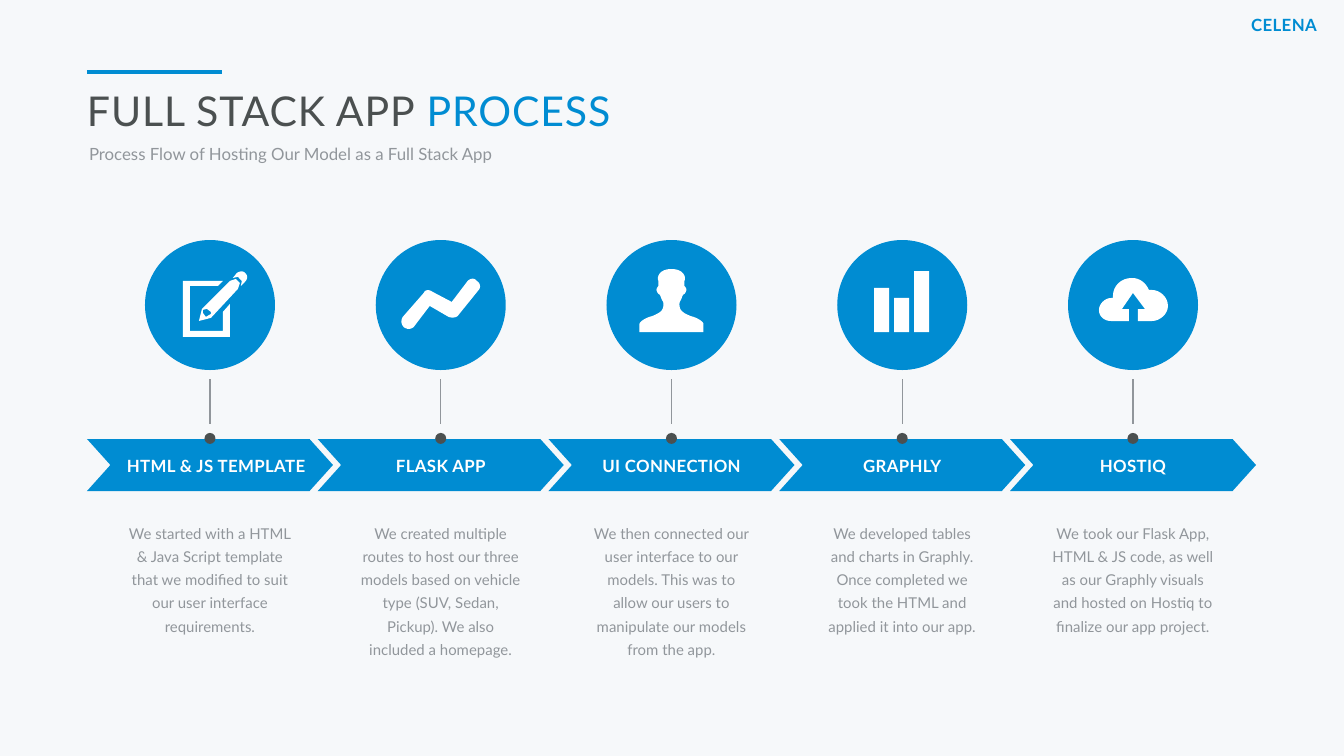
import lxml.etree
import pptx
import pptx.dml.color
import pptx.enum.shapes
import pptx.enum.text
import pptx.oxml.ns
import pptx.util

RGB = pptx.dml.color.RGBColor
SHAPE = pptx.enum.shapes.MSO_SHAPE
ALIGN = pptx.enum.text.PP_ALIGN
Pt = pptx.util.Pt
qn = pptx.oxml.ns.qn

BLUE = RGB(0x00, 0x8C, 0xD2)
DARK = RGB(0x4B, 0x50, 0x50)
GREY = RGB(0x91, 0x96, 0x9B)
PALE = RGB(0xF6, 0xF8, 0xFA)
WHITE = RGB(0xFF, 0xFF, 0xFF)
FONT = "Lato"

TITLE = [("FULL STACK APP ", DARK), ("PROCESS", BLUE)]
SUBTITLE = "Process Flow of Hosting Our Model as a Full Stack App"
TAG = "CELENA"

# Icons are lists of contours in px from the circle's centre.
# Two numbers are a corner; six are a Bezier curve (two controls and an end).
PENCIL = [
    [(-20, 26), (13, 26), (13, 7), (20, -1), (20, 32), (-27, 32), (-27, -24),
     (13, -24), (8, -19), (-20, -19)],
    [(26, -26), (30, -22), (28, -16), (1, 13), (-11, 16), (-8, 4), (20, -24)],
    [(-3, 4), (-7, 5), (-7, 8), (-4, 12), (1, 9), (1, 7)],
    [(35, -23), (31, -19), (32, -24), (28, -28), (23, -27), (27, -32),
     (30, -34, 34, -34, 35, -32), (38, -30, 38, -26, 35, -23)],
]
TREND = [
    [(-36, 23), (-40, 20, -40, 15, -38, 12), (-17, -12),
     (-16, -15, -12, -16, -8, -13), (11, -3), (27, -24),
     (30, -27, 34, -27, 36, -24), (40, -22, 40, -17, 38, -15), (17, 11),
     (15, 13, 11, 13, 8, 12), (-11, 1), (-27, 22),
     (-28, 23, -30, 24, -32, 24), (-34, 24, -35, 23, -36, 23)],
]
PERSON = [
    [(32, 19), (32, 27), (-32, 27), (-32, 19), (-32, 17, -27, 13, -19, 11),
     (-9, 7, -8, 4, -8, -1), (-8, -4, -9, -3, -11, -9),
     (-12, -12, -13, -9, -15, -15), (-15, -17, -13, -19, -13, -19),
     (-13, -19, -13, -22, -13, -24), (-15, -28, -12, -36, 0, -36),
     (12, -36, 15, -28, 13, -24), (13, -22, 13, -19, 13, -19),
     (13, -19, 15, -17, 15, -15), (13, -9, 12, -12, 11, -9),
     (9, -3, 8, -4, 8, -1), (8, 4, 9, 7, 19, 11), (27, 13, 32, 17, 32, 19)],
]
BARS = [
    [(left, 27), (left, top), (left + 15, top), (left + 15, 27)]
    for left, top in [(-28, -17), (-8, -7), (12, -34)]
]
CLOUD = [
    [(35, 1), (35, 9, 27, 16, 19, 16), (5, 16), (5, 4), (12, 4), (0, -12),
     (-11, 4), (-4, 4), (-4, 16), (-22, 16), (-28, 16, -34, 12, -34, 5),
     (-34, -1, -28, -7, -22, -7), (-20, -7), (-20, -9),
     (-20, -19, -12, -27, -1, -27), (7, -27, 13, -22, 16, -15), (19, -15),
     (27, -15, 35, -8, 35, 1)],
]

# icon, label, label width, label shift, description
STEPS = [
    (PENCIL, "HTML & JS TEMPLATE", 190, 6,
     "We started with a HTML & Java Script template that we modified to suit "
     "our user interface requirements."),
    (TREND, "FLASK APP", 163, 0,
     "We created multiple routes to host our three models based on vehicle "
     "type (SUV, Sedan, Pickup). We also included a homepage."),
    (PERSON, "UI CONNECTION", 163, 0,
     "We then connected our user interface to our models. This was to allow "
     "our users to manipulate our models from the app."),
    (BARS, "GRAPHLY", 163, 0,
     "We developed tables and charts in Graphly. Once completed we took the "
     "HTML and applied it into our app."),
    (CLOUD, "HOSTIQ", 163, 0,
     "We took our Flask App, HTML & JS code, as well as our Graphly visuals "
     "and hosted on Hostiq to finalize our app project."),
]
FIRST_CENTRE, LAST_CENTRE = 210, 1133
PITCH = (LAST_CENTRE - FIRST_CENTRE) / (len(STEPS) - 1)
CIRCLE_Y, CIRCLE_SIZE = 305, 130
CHEVRON_TOP, CHEVRON_WIDTH, CHEVRON_HEIGHT = 439, 246, 52


def px(length):
    return round(length * 914400 / 134.4)


def paint(shape, color):
    shape.shadow.inherit = False
    shape.fill.solid()
    shape.fill.fore_color.rgb = color
    shape.line.fill.background()


def add_filled(slide, kind, left, top, width, height, color):
    shape = slide.shapes.add_shape(kind, px(left), px(top), px(width), px(height))
    paint(shape, color)
    return shape


def add_line(slide, x1, y1, x2, y2, color, weight):
    line = slide.shapes.add_connector(
        pptx.enum.shapes.MSO_CONNECTOR.STRAIGHT, px(x1), px(y1), px(x2), px(y2))
    line.line.color.rgb = color
    line.line.width = Pt(weight)
    lxml.etree.SubElement(line._element.spPr, qn("a:effectLst"))


def outline(contour):
    """Turn corners and Bezier curves into a list of points."""
    points = [contour[0]]
    for part in contour[1:]:
        if len(part) == 2:
            points.append(part)
            continue
        controls = [points[-1], part[:2], part[2:4], part[4:]]
        for t in [step / 8 for step in range(1, 9)]:
            weights = [(1 - t) ** 3, 3 * t * (1 - t) ** 2, 3 * t * t * (1 - t), t ** 3]
            points.append(tuple(
                sum(w * p[axis] for w, p in zip(weights, controls)) for axis in (0, 1)))
    return points


def add_icon(slide, contours, centre):
    builder = None
    for contour in contours:
        points = [(px(centre + x), px(CIRCLE_Y + y)) for x, y in outline(contour)]
        if builder is None:
            builder = slide.shapes.build_freeform(*points[0], scale=1.0)
        else:
            builder.move_to(*points[0])
        builder.add_line_segments(points[1:], close=True)
    paint(builder.convert_to_shape(), WHITE)


def format_run(run, size, color, bold=False, spacing=0):
    run.font.name = FONT
    run.font.size = Pt(size)
    run.font.bold = bold
    run.font.color.rgb = color
    if spacing:
        run._r.get_or_add_rPr().set("spc", str(round(spacing * 100)))


def set_frame(shape, left, top, width, height):
    """Place a text shape, with no insets and its text at the top."""
    shape.left, shape.top, shape.width, shape.height = map(px, (left, top, width, height))
    frame = shape.text_frame
    frame.word_wrap = True
    frame.auto_size = pptx.enum.text.MSO_AUTO_SIZE.NONE
    frame.vertical_anchor = pptx.enum.text.MSO_ANCHOR.TOP
    frame.margin_left = frame.margin_top = frame.margin_right = frame.margin_bottom = 0
    return frame


def add_centred(slide, text, centre, top, width, height, size, color,
                bold=False, spacing=0, line_spacing=None):
    box = slide.shapes.add_textbox(0, 0, 0, 0)
    frame = set_frame(box, centre - width / 2, top, width, height)
    frame.text = text
    paragraph = frame.paragraphs[0]
    paragraph.alignment = ALIGN.CENTER
    paragraph.line_spacing = line_spacing
    format_run(paragraph.runs[0], size, color, bold, spacing)


def add_heading(slide):
    title = set_frame(slide.shapes.title, 87, 85, 1169, 56).paragraphs[0]
    title.alignment = ALIGN.LEFT
    for text, color in TITLE:
        run = title.add_run()
        run.text = text
        format_run(run, 22, color, spacing=0.5)

    frame = set_frame(slide.placeholders[1], 89, 141, 1169, 20)
    frame.text = SUBTITLE
    subtitle = frame.paragraphs[0]
    subtitle.line_spacing = Pt(12)
    subtitle.space_before = Pt(0)
    properties = subtitle._p.get_or_add_pPr()
    properties.set("marL", "0")
    properties.set("indent", "0")
    lxml.etree.SubElement(properties, qn("a:buNone"))
    format_run(subtitle.runs[0], 9, GREY)

    add_line(slide, 87, 72, 222, 72, BLUE, 2.25)
    add_centred(slide, TAG, 1284, 15, 120, 20, 9, BLUE, True, 0.2)


def add_step(slide, centre, icon, label, label_width, label_shift, description):
    chevron = add_filled(slide, SHAPE.CHEVRON, centre - CHEVRON_WIDTH / 2, CHEVRON_TOP,
                         CHEVRON_WIDTH, CHEVRON_HEIGHT, BLUE)
    chevron.adjustments[0] = 0.45
    add_centred(slide, label, centre + label_shift, 456, label_width, 20,
                9, WHITE, True, 0.2)
    add_centred(slide, description, centre, 519, 163, 138, 8, GREY, line_spacing=1.3)
    add_filled(slide, SHAPE.OVAL, centre - CIRCLE_SIZE / 2, CIRCLE_Y - CIRCLE_SIZE / 2,
               CIRCLE_SIZE, CIRCLE_SIZE, BLUE)
    add_icon(slide, icon, centre)
    add_line(slide, centre, 424, centre, 379, GREY, 0.75)
    add_filled(slide, SHAPE.OVAL, centre - 5.5, CHEVRON_TOP - 6, 11, 11, DARK)


def main():
    deck = pptx.Presentation()
    deck.slide_width, deck.slide_height = px(1344), px(756)
    slide = deck.slides.add_slide(deck.slide_layouts[1])
    slide.background.fill.solid()
    slide.background.fill.fore_color.rgb = PALE
    add_heading(slide)
    for index, step in enumerate(STEPS):
        add_step(slide, FIRST_CENTRE + index * PITCH, *step)
    deck.save("out.pptx")


if __name__ == "__main__":
    main()
